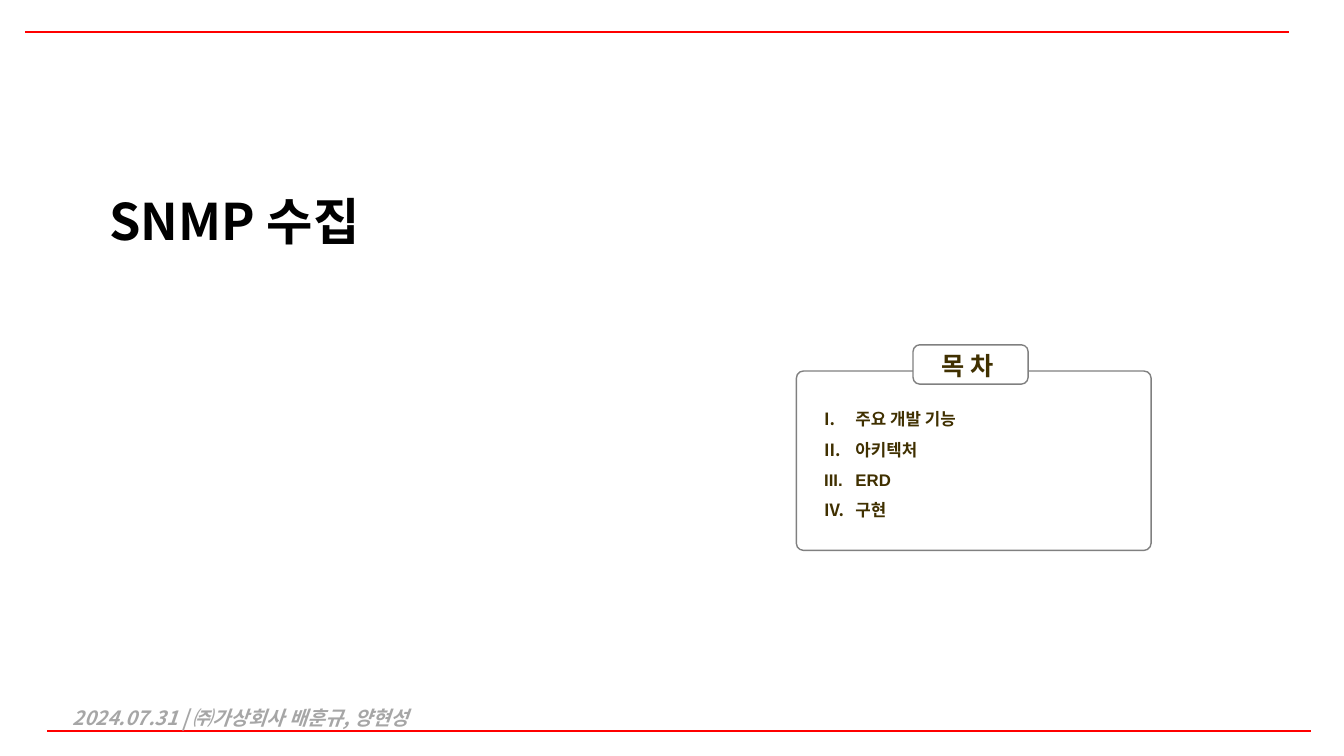
from lxml import etree
from pptx import Presentation
from pptx.dml.color import RGBColor
from pptx.enum.shapes import MSO_CONNECTOR, MSO_SHAPE
from pptx.enum.text import MSO_ANCHOR
from pptx.oxml.ns import qn
from pptx.util import Cm, Pt

STRAIGHT = MSO_CONNECTOR.STRAIGHT
ROUNDED = MSO_SHAPE.ROUNDED_RECTANGLE
TOP, MIDDLE = MSO_ANCHOR.TOP, MSO_ANCHOR.MIDDLE

RED, GRAY, PALE, BROWN = "FF0000", "808080", "A6A6A6", "403000"
BLACK, WHITE = "000000", "FFFFFF"
HANGUL_FONT, LATIN_FONT = "Noto Sans CJK KR", "Arial"


def color(value):
    return RGBColor.from_string(value)


def apply(target, values):
    for name, value in values.items():
        setattr(target, name, value)


class CoverSlide:
    line_width = Pt(1)
    hanging = Cm(0.79)

    def __init__(self, slide):
        self.shapes = slide.shapes

    def outline(self, line, value):
        line.color.rgb = color(value)
        line.width = self.line_width

    def rule(self, left, top, width):
        rule = self.shapes.add_connector(
            STRAIGHT, Cm(left), Cm(top), Cm(left + width), Cm(top))
        self.outline(rule.line, RED)
        etree.SubElement(rule._element.spPr, qn("a:effectLst"))

    def frame(self, box, radius, fill=None):
        frame = self.shapes.add_shape(ROUNDED, *map(Cm, box))
        frame.shadow.inherit = False
        frame.adjustments[0] = radius
        if fill:
            frame.fill.solid()
            frame.fill.fore_color.rgb = color(fill)
        else:
            frame.fill.background()
        self.outline(frame.line, GRAY)

    def text(self, box, lines, size, ink, font=HANGUL_FONT, italic=None,
             spacing=None, numbered=False, **layout):
        frame = self.shapes.add_textbox(*map(Cm, box)).text_frame
        apply(frame, {"word_wrap": True, "vertical_anchor": TOP, **layout})
        for index, line in enumerate(lines):
            paragraph = frame.add_paragraph() if index else frame.paragraphs[0]
            paragraph.line_spacing = spacing
            run = paragraph.add_run()
            run.text = line
            apply(run.font, {"name": font, "size": Pt(size),
                             "bold": True, "italic": italic})
            run.font.color.rgb = color(ink)
            etree.SubElement(run.font._element, qn("a:ea"),
                             typeface=HANGUL_FONT)
            if numbered:
                self.roman_number(paragraph, ink)

    def roman_number(self, paragraph, ink):
        properties = paragraph._p.get_or_add_pPr()
        properties.set("marL", str(self.hanging))
        properties.set("indent", str(-self.hanging))
        tint = etree.SubElement(properties, qn("a:buClr"))
        etree.SubElement(tint, qn("a:srgbClr"), val=ink)
        etree.SubElement(properties, qn("a:buFont"), typeface="+mj-lt")
        etree.SubElement(properties, qn("a:buAutoNum"), type="romanUcPeriod")


def main():
    presentation = Presentation()
    apply(presentation, {"slide_width": Cm(33.87), "slide_height": Cm(19.05)})
    cover = CoverSlide(presentation.slides.add_slide(
        presentation.slide_layouts[6]))

    for left, top in ((1.19, 18.42), (0.64, 0.81)):
        cover.rule(left, top, 31.85)

    cover.text((2.51, 4.93, 29.74, 1.42), ["SNMP 수집"], 36, BLACK,
               spacing=0.9, vertical_anchor=MIDDLE)
    cover.text((1.83, 17.78, 17.91, 0.61),
               ["2024.07.31 | ㈜가상회사 배훈규, 양현성"], 14, PALE, italic=True,
               margin_left=0, margin_top=0, margin_right=0, margin_bottom=0)

    cover.frame((20.07, 9.35, 8.94, 4.52), 0.04)
    cover.frame((23.01, 8.69, 2.9, 0.99), 0.17, WHITE)
    cover.text((23.47, 8.71, 2.03, 1.02), ["목 차"], 18, BROWN, LATIN_FONT,
               word_wrap=False)
    cover.text((20.52, 9.93, 8.48, 3.23),
               ["주요 개발 기능", "아키텍처", "ERD", "구현"], 12, BROWN,
               LATIN_FONT, spacing=1.5, numbered=True)

    presentation.save("out.pptx")


if __name__ == "__main__":
    main()
